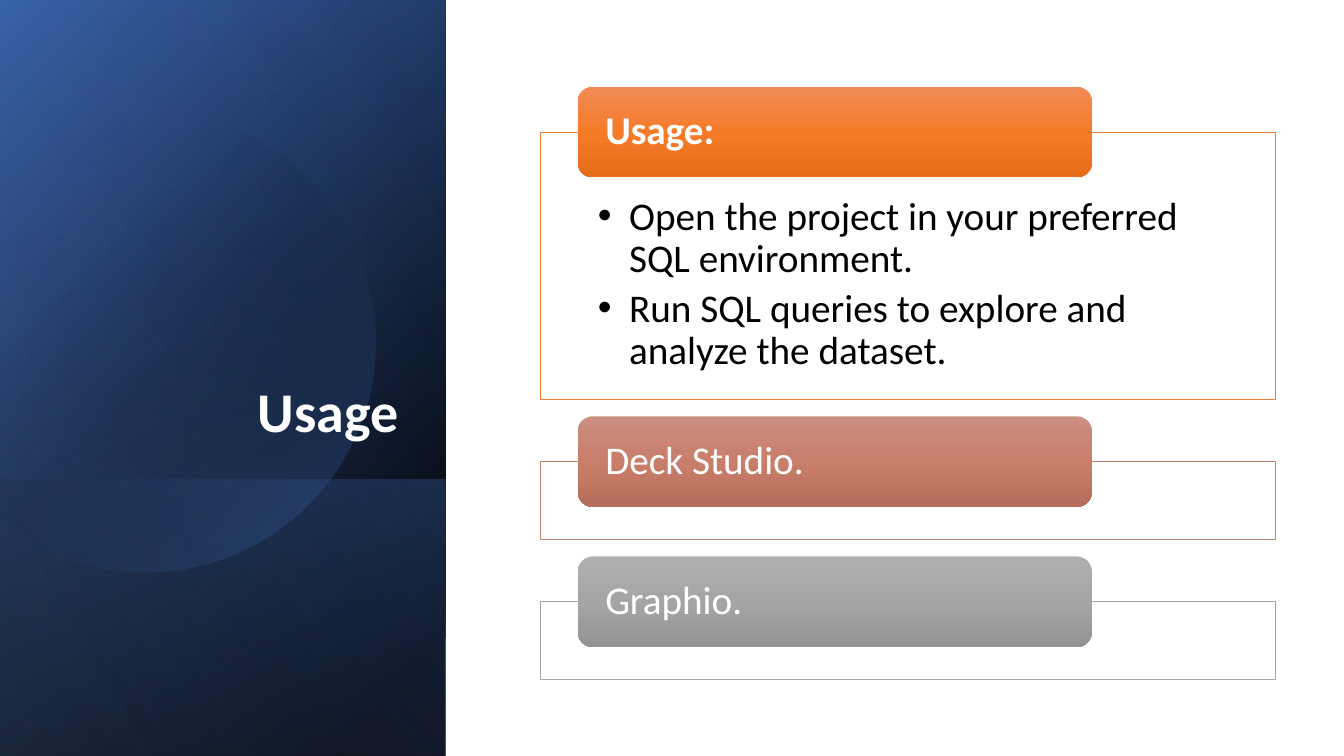
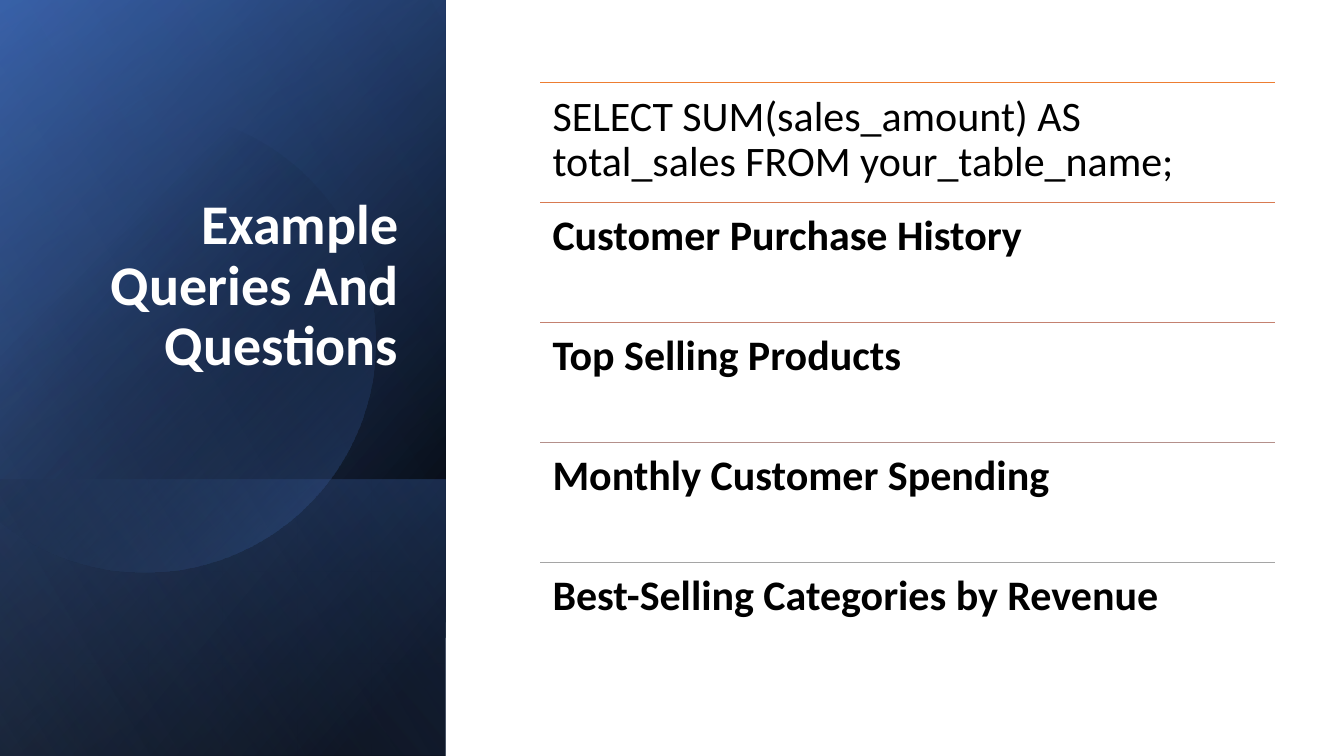
"""Builds two slides that share a dark blue title panel."""
from dataclasses import dataclass
from math import acos, cos, sin

from lxml.etree import SubElement
from pptx import Presentation
from pptx.dml.color import RGBColor
from pptx.enum.shapes import MSO_CONNECTOR, MSO_SHAPE
from pptx.enum.text import MSO_ANCHOR, MSO_AUTO_SIZE, PP_ALIGN
from pptx.oxml.ns import qn
from pptx.util import Inches, Pt


@dataclass(frozen=True)
class Theme:
    font: str = "Calibri"
    white: str = "FFFFFF"
    black: str = "000000"
    navy: str = "2F5597"
    blue: str = "4472C4"
    sky: str = "8FAADC"
    orange: str = "ED7D31"
    copper: str = "D87A51"
    clay: str = "C48170"
    taupe: str = "B4908B"
    gray: str = "A5A5A5"
    orange_button: tuple = ("F18C57", "F67B28", "E56C19")
    clay_button: tuple = ("CB8F81", "C97E6B", "B76D5B")
    gray_button: tuple = ("AFAFAF", "A5A5A5", "939393")
    title_size: int = 40
    section_size: int = 28
    row_size: int = 30
    line_width: float = 0.5
    line_spacing: float = 0.9


THEME = Theme()
TITLE_AND_CONTENT, TITLE_ONLY = 1, 5
CONTENT_LEFT, CONTENT_WIDTH = 5.36, 7.29
PANEL_WIDTH, PANEL_HEIGHT = 4.42, 7.5


class Deck:
    """Holds the theme, the presentation and the current slide."""

    def __init__(self, theme):
        self.theme = theme
        self.presentation = Presentation()
        self.presentation.slide_width = Inches(13.33)
        self.presentation.slide_height = Inches(7.5)
        self.slide = None

    def start_slide(self, layout, title, title_lift=0):
        self.slide = self.presentation.slides.add_slide(
            self.presentation.slide_layouts[layout])
        self.draw_panel()
        self.draw_title(title, title_lift)

    def place(self, placeholder, left, top, width, height):
        placeholder.left, placeholder.top = Inches(left), Inches(top)
        placeholder.width, placeholder.height = Inches(width), Inches(height)
        placeholder.element.getparent().append(placeholder.element)

    def fill_gradient(self, shape, stops, angle):
        shape.shadow.inherit = False
        shape.line.fill.background()
        shape.fill.gradient()
        shape.fill.gradient_angle = (360 - angle) % 360
        stop_list = shape.element.spPr.find(qn("a:gradFill")).find(qn("a:gsLst"))
        for old_stop in list(stop_list):
            stop_list.remove(old_stop)
        for position, color, opacity in stops:
            stop = SubElement(stop_list, qn("a:gs"), pos=str(position * 1000))
            value = SubElement(stop, qn("a:srgbClr"), val=color)
            if opacity < 100:
                SubElement(value, qn("a:alpha"), val=str(opacity * 1000))

    def outline(self, shape, color):
        shape.line.color.rgb = RGBColor.from_string(color)
        shape.line.width = Pt(self.theme.line_width)

    def set_text(self, shape, texts, size, color, bold=False, insets=None,
                 anchor=MSO_ANCHOR.TOP, align=PP_ALIGN.LEFT, space_after=0):
        frame = shape.text_frame
        frame.word_wrap = True
        frame.auto_size = MSO_AUTO_SIZE.NONE
        frame.vertical_anchor = anchor
        left, top, right, bottom = insets or (0.1, 0.05, 0.1, 0.05)
        frame.margin_left, frame.margin_right = Inches(left), Inches(right)
        frame.margin_top, frame.margin_bottom = Inches(top), Inches(bottom)
        for index, text in enumerate(texts):
            paragraph = frame.add_paragraph() if index else frame.paragraphs[0]
            paragraph.alignment = align
            paragraph.line_spacing = self.theme.line_spacing
            paragraph.space_before = Pt(0)
            paragraph.space_after = Pt(space_after)
            run = paragraph.add_run()
            run.text = text
            run.font.name = self.theme.font
            run.font.size = Pt(size)
            run.font.bold = bold
            run.font.color.rgb = RGBColor.from_string(color)

    def draw_layer(self, height, stops, angle):
        center_x, center_y = PANEL_WIDTH / 2, PANEL_HEIGHT - height / 2
        layer = self.slide.shapes.add_shape(
            MSO_SHAPE.RECTANGLE,
            Inches(center_x - height / 2), Inches(center_y - PANEL_WIDTH / 2),
            Inches(height), Inches(PANEL_WIDTH))
        layer.rotation = 90
        layer.element.spPr.find(qn("a:xfrm")).set("flipH", "1")
        self.fill_gradient(layer, stops, angle)

    def draw_disc(self, center_x, center_y, radius, stops, angle):
        limit = acos(-center_x / radius)
        steps = 120
        turns = [-limit + 2 * limit * step / steps for step in range(steps + 1)]
        points = [(Inches(center_x + radius * cos(turn)),
                   Inches(center_y + radius * sin(turn))) for turn in turns]
        builder = self.slide.shapes.build_freeform(*points[0])
        builder.add_line_segments(points[1:], close=True)
        self.fill_gradient(builder.convert_to_shape(), stops, angle)

    def draw_panel(self):
        theme = self.theme
        self.draw_layer(PANEL_HEIGHT, [(8, theme.black, 100), (100, theme.navy, 100)], 50)
        self.draw_layer(PANEL_HEIGHT, [(0, theme.black, 0), (99, theme.blue, 46)], 30)
        self.draw_layer(2.74, [(2, theme.blue, 29), (100, theme.black, 30)], 130)
        self.draw_disc(1.43, 3.39, 2.29, [(29, theme.black, 0), (100, theme.blue, 43)], 45)
        self.draw_layer(PANEL_HEIGHT, [(0, theme.black, 0), (99, theme.sky, 11)], 120)

    def draw_title(self, text, lift):
        title = self.slide.shapes.title
        self.place(title, 0.64, 1.84, 3.41, 2.62)
        self.set_text(title, [text], self.theme.title_size, self.theme.white, bold=True,
                      insets=(0.1, 0.05, 0.1, 0.05 + lift),
                      anchor=MSO_ANCHOR.BOTTOM, align=PP_ALIGN.RIGHT)

    def draw_card(self, top, height, color):
        card = self.slide.shapes.add_shape(
            MSO_SHAPE.RECTANGLE, Inches(CONTENT_LEFT), Inches(top),
            Inches(CONTENT_WIDTH), Inches(height))
        card.shadow.inherit = False
        card.fill.solid()
        card.fill.fore_color.rgb = RGBColor.from_string(self.theme.white)
        self.outline(card, color)

    def draw_list_card(self, top, height, color, items):
        body = self.slide.placeholders[1]
        self.place(body, CONTENT_LEFT, top, CONTENT_WIDTH, height)
        self.outline(body, color)
        self.set_text(body, items, self.theme.section_size, self.theme.black,
                      insets=(0.57, 0.64, 0.57, 0.22), space_after=5)
        for paragraph in body.text_frame.paragraphs:
            properties = paragraph._p.get_or_add_pPr()
            properties.set("marL", str(Inches(0.31)))
            properties.set("indent", str(Inches(-0.31)))

    def draw_button(self, top, text, colors, bold):
        button = self.slide.shapes.add_shape(
            MSO_SHAPE.ROUNDED_RECTANGLE, Inches(5.73), Inches(top),
            Inches(5.1), Inches(0.9))
        stops = [(index * 50, color, 100) for index, color in enumerate(colors)]
        self.fill_gradient(button, stops, 90)
        self.set_text(button, [text], self.theme.section_size, self.theme.white, bold,
                      insets=(0.23, 0, 0.23, 0), anchor=MSO_ANCHOR.MIDDLE)

    def draw_row(self, top, height, text, color, bold):
        left, right = Inches(CONTENT_LEFT), Inches(CONTENT_LEFT + CONTENT_WIDTH)
        rule = self.slide.shapes.add_connector(
            MSO_CONNECTOR.STRAIGHT, left, Inches(top), right, Inches(top))
        self.outline(rule, color)
        SubElement(rule._element.spPr, qn("a:effectLst"))
        label = self.slide.shapes.add_textbox(
            left, Inches(top), Inches(CONTENT_WIDTH), Inches(height))
        self.set_text(label, [text], self.theme.row_size, self.theme.black, bold,
                      insets=(0.12,) * 4)


def add_usage_slide(deck):
    theme = deck.theme
    deck.start_slide(TITLE_AND_CONTENT, "Usage")
    steps = ["Open the project in your preferred SQL environment.",
             "Run SQL queries to explore and analyze the dataset."]
    sections = [
        ("Usage:", theme.orange, theme.orange_button, 2.65, steps),
        ("Deck Studio.", theme.clay, theme.clay_button, 0.77, []),
        ("Graphio.", theme.gray, theme.gray_button, 0.77, []),
    ]
    button_top = 0.86
    for heading, color, button_colors, height, items in sections:
        card_top = button_top + 0.45
        if items:
            deck.draw_list_card(card_top, height, color, items)
        else:
            deck.draw_card(card_top, height, color)
        deck.draw_button(button_top, heading, button_colors, bold=bool(items))
        button_top = card_top + height + 0.17


def add_queries_slide(deck):
    theme = deck.theme
    deck.start_slide(TITLE_ONLY, "Example Queries And Questions", title_lift=0.66)
    rows = [
        ("SELECT SUM(sales_amount) AS total_sales FROM your_table_name;", theme.orange, False),
        ("Customer Purchase History", theme.copper, True),
        ("Top Selling Products", theme.clay, True),
        ("Monthly Customer Spending", theme.taupe, True),
        ("Best-Selling Categories by Revenue", theme.gray, True),
    ]
    row_height = 1.19
    for index, (text, color, bold) in enumerate(rows):
        deck.draw_row(0.82 + index * row_height, row_height, text, color, bold)


def main():
    deck = Deck(THEME)
    add_usage_slide(deck)
    add_queries_slide(deck)
    deck.presentation.save("out.pptx")


if __name__ == "__main__":
    main()
